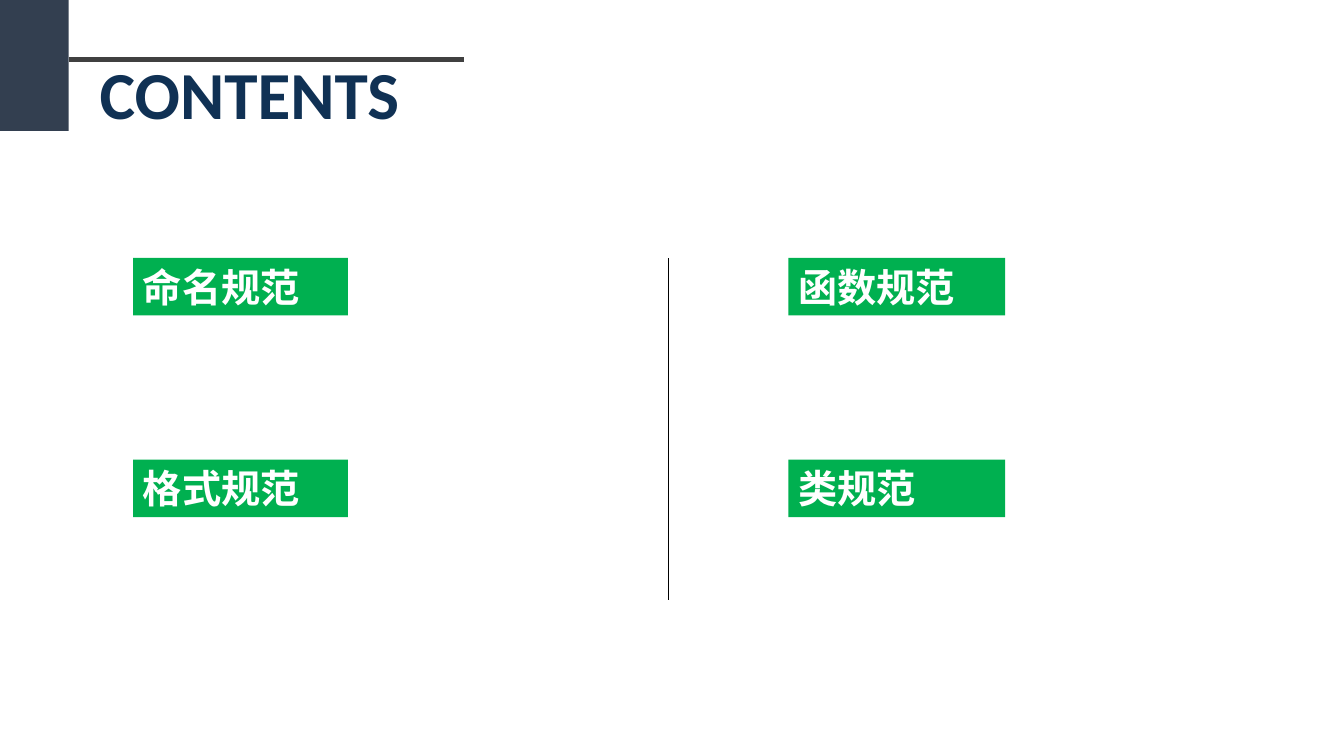
from lxml import etree
from pptx import Presentation
from pptx import util as u
from pptx.dml.color import RGBColor
from pptx.enum import shapes, text
from pptx.oxml import ns

SLATE = RGBColor(0x33, 0x3F, 0x50)
GRAY = RGBColor(0x40, 0x40, 0x40)
NAVY = RGBColor(0x10, 0x31, 0x54)
GREEN = RGBColor(0x00, 0xB0, 0x50)
WHITE = RGBColor(0xFF, 0xFF, 0xFF)
BLACK = RGBColor(0x00, 0x00, 0x00)


def add_block(slide, left, top, width, height, color):
    block = slide.shapes.add_shape(
        shapes.MSO_SHAPE.RECTANGLE, *map(u.Inches, (left, top, width, height)))
    block.shadow.inherit = False
    block.fill.solid()
    block.fill.fore_color.rgb = color
    block.line.fill.background()
    return block


def add_rule(slide, start, end, color, weight):
    rule = slide.shapes.add_connector(
        shapes.MSO_CONNECTOR.STRAIGHT, *map(u.Inches, start + end))
    rule.line.color.rgb = color
    rule.line.width = u.Pt(weight)
    etree.SubElement(rule._element.spPr, ns.qn("a:effectLst"))


def write_text(shape, content, size, color, wrap):
    frame = shape.text_frame
    frame_format = {"word_wrap": wrap, "vertical_anchor": text.MSO_ANCHOR.TOP,
                    "auto_size": text.MSO_AUTO_SIZE.SHAPE_TO_FIT_TEXT}
    for name, value in frame_format.items():
        setattr(frame, name, value)
    paragraph = frame.paragraphs[0]
    paragraph.alignment = text.PP_ALIGN.LEFT
    run = paragraph.add_run()
    run.text = content
    font_format = {"name": "Calibri", "size": u.Pt(size), "bold": True}
    for name, value in font_format.items():
        setattr(run.font, name, value)
    run.font.color.rgb = color


def add_header(slide, left, top, width, height):
    bar_width = 0.68
    add_block(slide, left, top, bar_width, height, SLATE)
    rule_top = top + 0.59
    add_rule(slide, (left + bar_width, rule_top), (left + width, rule_top), GRAY, 3)
    title = slide.shapes.add_textbox(
        *map(u.Inches, (left + 0.89, top + 0.47, 3.21, 0.91)))
    write_text(title, "CONTENTS", 48, NAVY, False)


def add_topics(slide, left, top, width, height):
    columns = [(0, 2.13, ("命名规范", "格式规范")),
               (6.5, 2.15, ("函数规范", "类规范"))]
    row_pitch = 2
    for offset, label_width, topics in columns:
        for row, topic in enumerate(topics):
            label = add_block(slide, left + offset, top + row * row_pitch,
                              label_width, 0.57, GREEN)
            write_text(label, topic, 28, WHITE, True)
    divider = left + 5.31
    add_rule(slide, (divider, top), (divider, top + height), BLACK, 1)


presentation = Presentation()
presentation.slide_width = u.Inches(13.33)
presentation.slide_height = u.Inches(7.5)
contents = presentation.slides.add_slide(presentation.slide_layouts[6])
add_header(contents, 0, 0, 4.6, 1.3)
add_topics(contents, 1.32, 2.56, 8.65, 3.39)
presentation.save("out.pptx")
